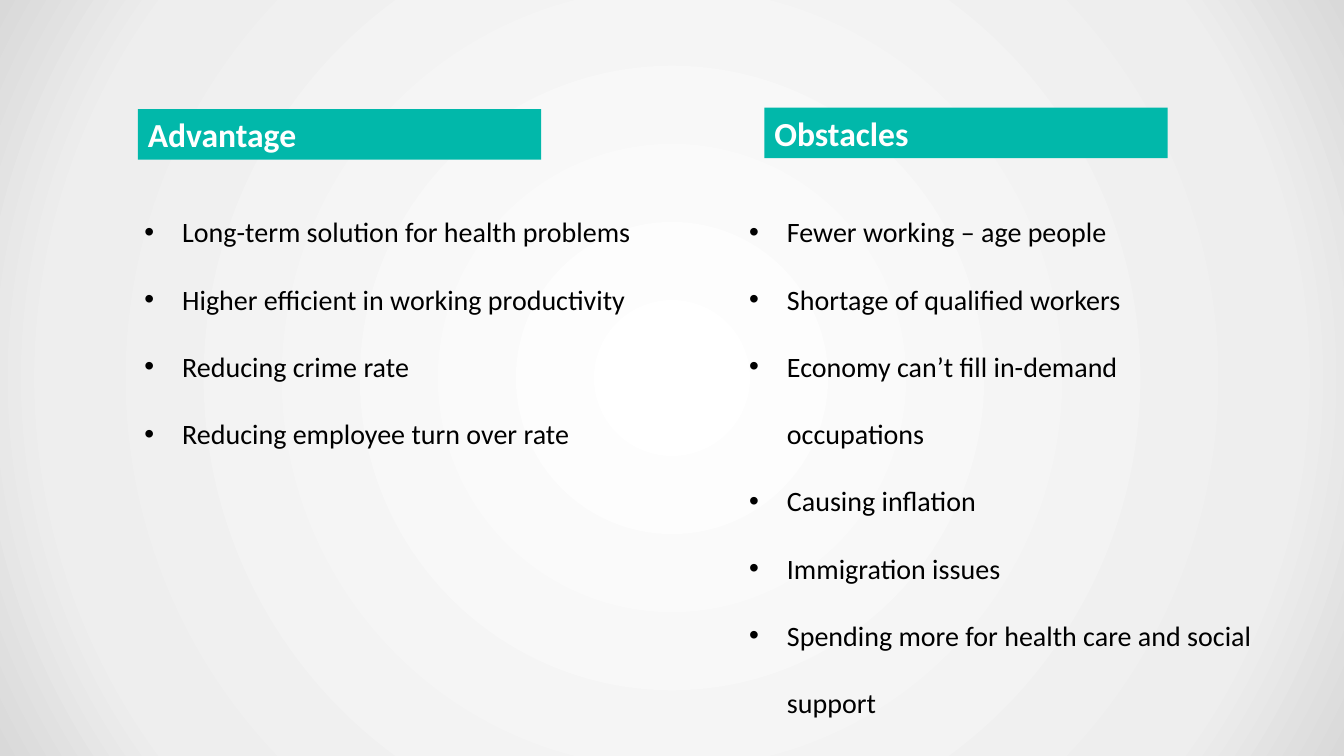
"""Build a slide that sets advantages beside obstacles."""
import lxml.etree
import pptx
import pptx.dml.color
import pptx.enum.shapes
import pptx.enum.text
import pptx.oxml.ns
import pptx.util

Pt = pptx.util.Pt
qn = pptx.oxml.ns.qn

FONT = "Calibri"
TEAL = "01B8AA"
WHITE = "FFFFFF"
BLACK = "000000"
BACKGROUND_STOPS = [(0, WHITE), (81, "EEEEEE"), (100, "D9D9D9")]
INDENT = 27

ADVANTAGES = [
    "Long-term solution for health problems",
    "Higher efficient in working productivity",
    "Reducing crime rate",
    "Reducing employee turn over rate",
]
OBSTACLES = [
    "Fewer working – age people",
    "Shortage of qualified workers",
    "Economy can’t fill in-demand occupations",
    "Causing inflation",
    "Immigration issues",
    "Spending more for health care and social support",
]


def color(value):
    """Turn a hex string into a colour."""
    return pptx.dml.color.RGBColor.from_string(value)


def set_font(paragraph, size, value, bold=False):
    """Set the font of a whole paragraph."""
    font = paragraph.font
    font.name, font.size, font.bold = FONT, Pt(size), bold
    font.color.rgb = color(value)


def set_radial_background(slide, stops):
    """Fill the background with a gradient that spreads from the centre."""
    slide.background.fill.gradient()
    gradient = slide.element.find(".//" + qn("a:gradFill"))
    for child in list(gradient):
        gradient.remove(child)
    stop_list = lxml.etree.SubElement(gradient, qn("a:gsLst"))
    for percent, value in stops:
        stop = lxml.etree.SubElement(stop_list, qn("a:gs"), pos=str(percent * 1000))
        lxml.etree.SubElement(stop, qn("a:srgbClr"), val=value)
    circle = lxml.etree.SubElement(gradient, qn("a:path"), {"path": "circle"})
    lxml.etree.SubElement(
        circle, qn("a:fillToRect"), dict.fromkeys("ltrb", "50000"))


def add_heading(slide, text, left, top):
    """Add a teal heading bar."""
    shape = slide.shapes.add_shape(
        pptx.enum.shapes.MSO_SHAPE.RECTANGLE, Pt(left), Pt(top), Pt(288), Pt(36))
    shape.shadow.inherit = False
    shape.fill.solid()
    shape.fill.fore_color.rgb = color(TEAL)
    shape.line.fill.background()
    frame = shape.text_frame
    frame.word_wrap = True
    frame.auto_size = pptx.enum.text.MSO_AUTO_SIZE.SHAPE_TO_FIT_TEXT
    frame.vertical_anchor = pptx.enum.text.MSO_ANCHOR.TOP
    paragraph = frame.paragraphs[0]
    paragraph.text = text
    paragraph.alignment = pptx.enum.text.PP_ALIGN.LEFT
    set_font(paragraph, 24, WHITE, bold=True)


def add_bullet(paragraph):
    """Give a paragraph a round bullet with a hanging indent."""
    properties = paragraph._p.get_or_add_pPr()
    properties.set("marL", str(Pt(INDENT)))
    properties.set("indent", str(-Pt(INDENT)))
    lxml.etree.SubElement(properties, qn("a:buFont"), typeface="Arial")
    lxml.etree.SubElement(properties, qn("a:buChar"), char="•")


def add_bullet_list(slide, items, left, height):
    """Add a double-spaced bullet list."""
    box = slide.shapes.add_textbox(Pt(left), Pt(126), Pt(378), Pt(height))
    frame = box.text_frame
    frame.word_wrap = True
    frame.auto_size = pptx.enum.text.MSO_AUTO_SIZE.SHAPE_TO_FIT_TEXT
    for index, item in enumerate(items):
        paragraph = frame.add_paragraph() if index else frame.paragraphs[0]
        paragraph.text = item
        paragraph.line_spacing = 2.0
        add_bullet(paragraph)
        set_font(paragraph, 20, BLACK)


def main():
    """Build and save the presentation."""
    presentation = pptx.Presentation()
    presentation.slide_width, presentation.slide_height = Pt(960), Pt(540)
    slide = presentation.slides.add_slide(presentation.slide_layouts[6])
    set_radial_background(slide, BACKGROUND_STOPS)
    add_heading(slide, "Advantage", 98.5, 78)
    add_heading(slide, "Obstacles", 546, 77)
    add_bullet_list(slide, OBSTACLES, 528, 388)
    add_bullet_list(slide, ADVANTAGES, 96, 291.6)
    presentation.save("out.pptx")


if __name__ == "__main__":
    main()
